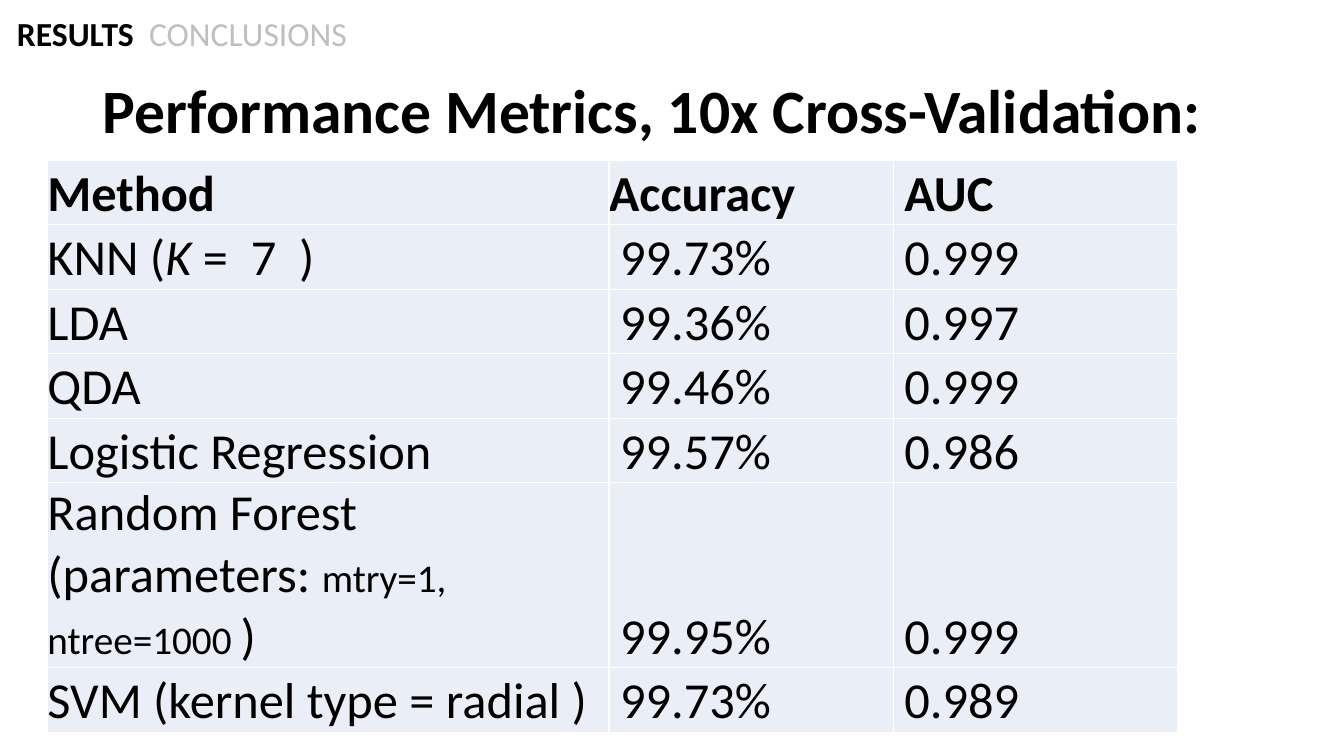
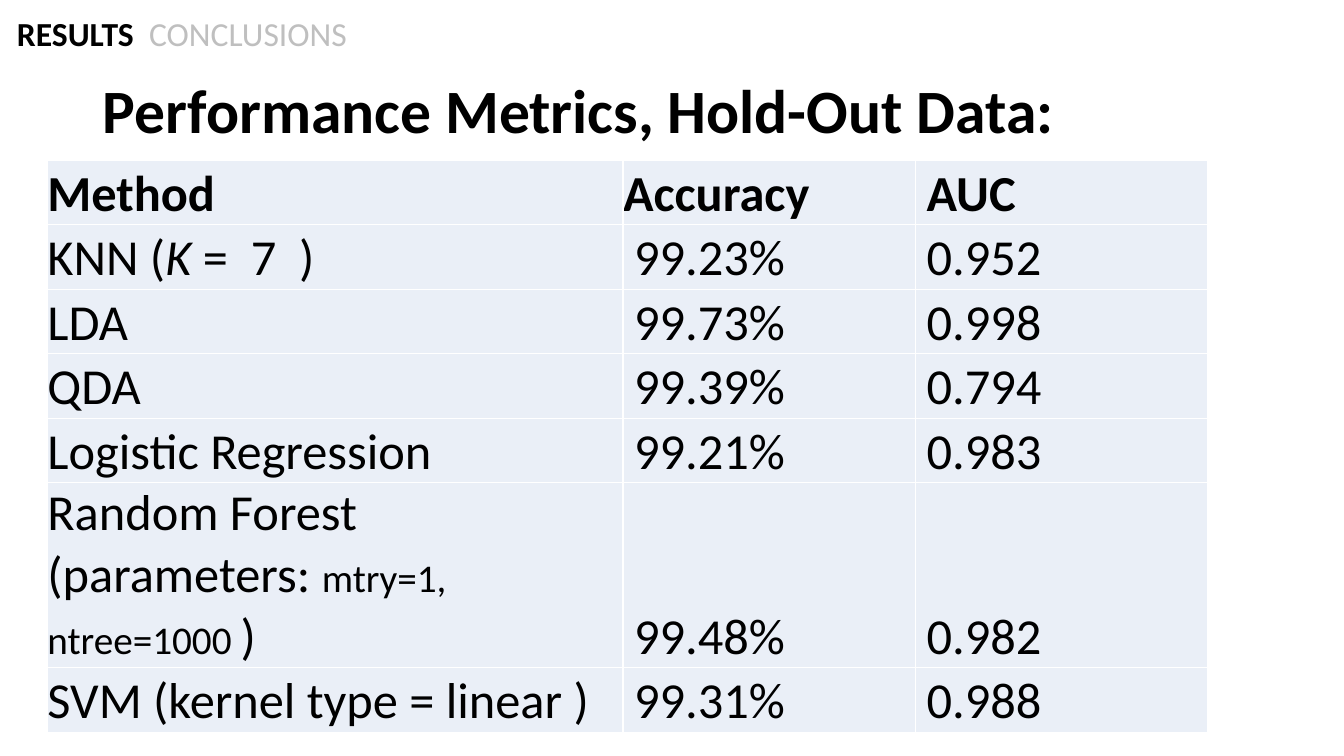
from dataclasses import dataclass

import lxml.etree
import pptx
import pptx.dml.color
import pptx.enum.text
import pptx.oxml.ns
import pptx.util

Inches = pptx.util.Inches
Color = pptx.dml.color.RGBColor
Anchor = pptx.enum.text.MSO_ANCHOR
Fit = pptx.enum.text.MSO_AUTO_SIZE

BLACK = Color(0x00, 0x00, 0x00)
WHITE = Color(0xFF, 0xFF, 0xFF)
GREY = Color(0xBF, 0xBF, 0xBF)
PALE = Color(0xEA, 0xEF, 0xF7)
FONT = "Calibri"
ROW = 0.64
TALL = 1.79  # row whose label takes three lines
INDENT = 0.11  # left inset of the figures


@dataclass
class Score:
    rate: str
    auc: str


@dataclass
class Report:
    title: str
    kernel: str
    wide: float
    slim: float
    scores: list[Score]


REPORTS = [
    Report("Performance Metrics, 10x Cross-Validation:", "radial", 5.57, 2.82, [
        Score("99.73%", "0.999"), Score("99.36%", "0.997"),
        Score("99.46%", "0.999"), Score("99.57%", "0.986"),
        Score("99.95%", "0.999"), Score("99.73%", "0.989")]),
    Report("Performance Metrics, Hold-Out Data:", "linear", 5.71, 2.9, [
        Score("99.23%", "0.952"), Score("99.73%", "0.998"),
        Score("99.39%", "0.794"), Score("99.21%", "0.983"),
        Score("99.48%", "0.982"), Score("99.31%", "0.988")]),
]


def write(para, text: str, size: float = 36, color: Color = BLACK,
          bold: bool = False, italic: bool = False) -> None:
    """Add one formatted run to a paragraph."""
    run = para.add_run()
    run.text = text
    font = run.font
    font.name, font.size = FONT, pptx.util.Pt(size)
    font.bold, font.italic = bold, italic
    font.color.rgb = color


def border(cell) -> None:
    """Give a cell thin white lines on all four sides."""
    props = cell._tc.get_or_add_tcPr()
    name = pptx.oxml.ns.qn
    for side in ("lnL", "lnR", "lnT", "lnB"):
        line = lxml.etree.SubElement(props, name(f"a:{side}"), w=str(pptx.util.Pt(1)))
        fill = lxml.etree.SubElement(line, name("a:solidFill"))
        lxml.etree.SubElement(fill, name("a:srgbClr"), val=str(WHITE))


def fill_cell(cell, runs: list[tuple[str, dict]], left: float = 0) -> None:
    border(cell)
    cell.fill.solid()
    cell.fill.fore_color.rgb = PALE
    cell.vertical_anchor = Anchor.BOTTOM
    cell.margin_left = Inches(left)
    cell.margin_right = cell.margin_top = cell.margin_bottom = 0
    for text, style in runs:
        write(cell.text_frame.paragraphs[0], text, **style)


def add_title(slide, text: str) -> None:
    title = slide.shapes.title
    title.left, title.top = Inches(0.92), Inches(0.4)
    title.width, title.height = Inches(11.5), Inches(1.45)
    frame = title.text_frame
    frame.auto_size = Fit.NONE
    frame.word_wrap = True
    frame.vertical_anchor = Anchor.MIDDLE
    para = frame.paragraphs[0]
    para.alignment = pptx.enum.text.PP_ALIGN.LEFT
    para.line_spacing = 0.9
    write(para, text, size=44, bold=True)


def add_scores(slide, report: Report) -> None:
    methods = [
        [("KNN (", {}), ("K ", {"italic": True}), ("=  7  )", {})],
        [("LDA", {})],
        [("QDA", {})],
        [("Logistic Regression", {})],
        [("Random Forest (parameters: ", {}),
         ("mtry=1, ntree=1000 ", {"size": 28}), (")", {})],
        [(f"SVM (kernel type = {report.kernel} )", {})],
    ]
    widths = [report.wide, report.slim, report.slim]
    heights = [ROW] * 5 + [TALL, ROW]
    table = slide.shapes.add_table(
        len(heights), len(widths), Inches(0.47), Inches(1.59),
        Inches(sum(widths)), Inches(sum(heights))).table
    table.first_row = table.horz_banding = False
    for col, width in zip(table.columns, widths):
        col.width = Inches(width)
    for row, height in zip(table.rows, heights):
        row.height = Inches(height)

    # Header row, then one row per method
    heads = [("Method", 0), ("Accuracy", 0), ("AUC", INDENT)]
    for col, (text, left) in enumerate(heads):
        fill_cell(table.cell(0, col), [(text, {"bold": True})], left)
    for row, (method, score) in enumerate(zip(methods, report.scores), 1):
        fill_cell(table.cell(row, 0), method)
        fill_cell(table.cell(row, 1), [(score.rate, {})], INDENT)
        fill_cell(table.cell(row, 2), [(score.auc, {})], INDENT)


def add_trail(slide) -> None:
    """Show the current section and the one still to come."""
    box = slide.shapes.add_textbox(
        Inches(0.07), Inches(0.08), Inches(3.48), Inches(0.5))
    box.text_frame.word_wrap = False
    box.text_frame.auto_size = Fit.SHAPE_TO_FIT_TEXT
    para = box.text_frame.paragraphs[0]
    write(para, "RESULTS  ", size=24, bold=True)
    write(para, "CONCLUSIONS", size=24, color=GREY)


def main() -> None:
    deck = pptx.Presentation()
    deck.slide_width, deck.slide_height = Inches(13.33), Inches(7.5)
    layout = deck.slide_layouts.get_by_name("Title Only")
    for report in REPORTS:
        slide = deck.slides.add_slide(layout)
        add_title(slide, report.title)
        add_scores(slide, report)
        add_trail(slide)
    deck.save("out.pptx")


if __name__ == "__main__":
    main()
